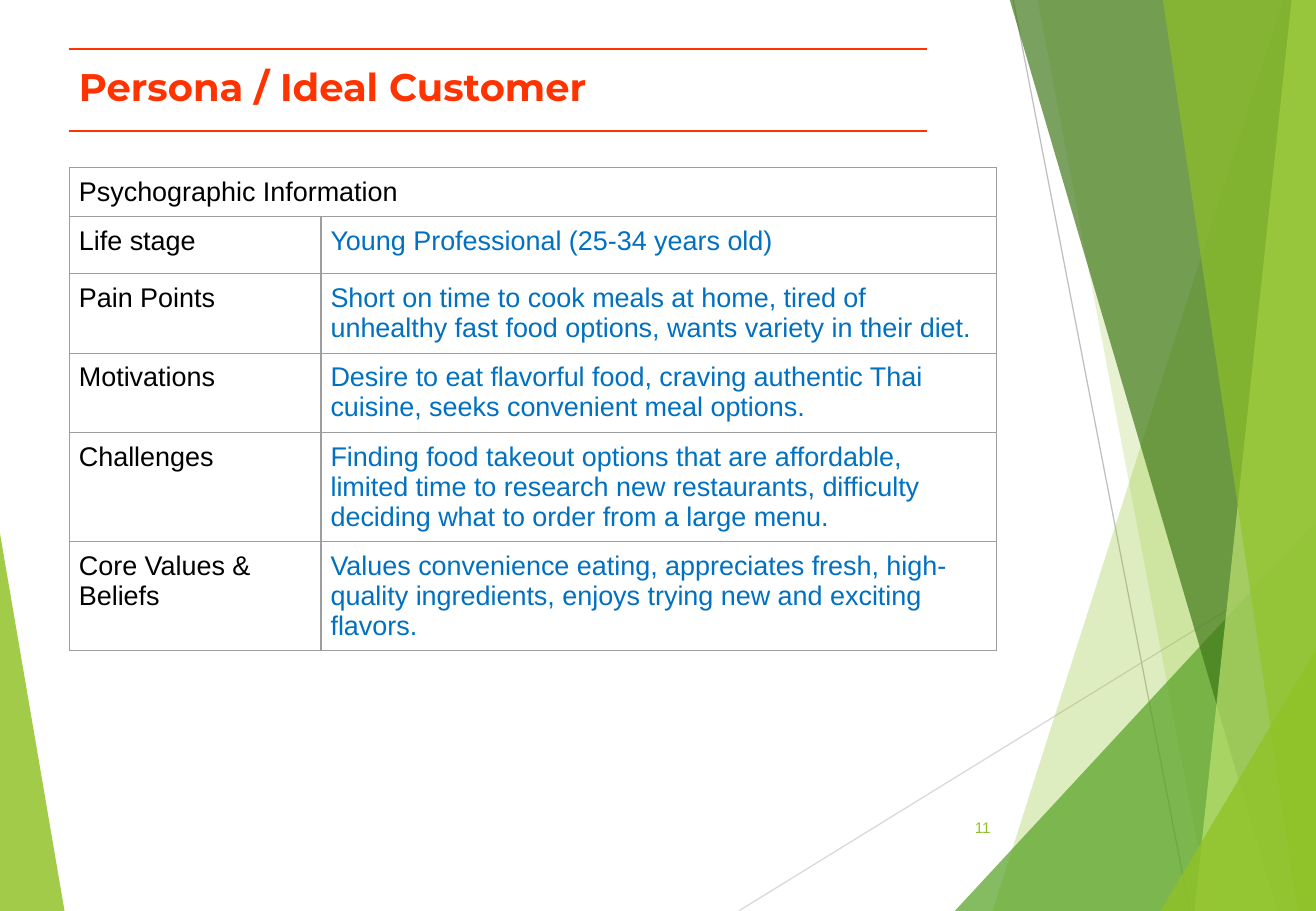
from lxml.etree import SubElement
from pptx import Presentation
from pptx.dml.color import RGBColor
from pptx.enum.shapes import MSO_CONNECTOR
from pptx.enum.text import MSO_ANCHOR, MSO_AUTO_SIZE, PP_ALIGN
from pptx.oxml import parse_xml
from pptx.oxml.ns import nsdecls, qn
from pptx.util import Cm, Pt

W, H = 27.51, 19.05
COLORS = {
    "title": "FF3300", "label": "000000", "answer": "0070C0", "border": "9E9E9E",
    "lime": "90C226", "green": "54A021", "forest": "3F7818", "pale": "BFE471",
    "ray": "D8D8D8", "beam": "BFBFBF",
}
RIGHT_EDGE = [(W, H), (W, 0)]
FACETS = [
    ([(0, 11.15), (1.35, H), (0, H)], "lime", 84),
    ([(26.82, 0), (20.75, H), *RIGHT_EDGE], "lime", 29),
    ([(21.69, 0), (25.3, H), *RIGHT_EDGE], "lime", 20),
    ([(19.96, H), (W, 10.9), (W, H)], "green", 71),
    ([(21.11, 0), (26.7, H), *RIGHT_EDGE], "forest", 69),
    ([(27, 0), (24.97, H), *RIGHT_EDGE], "pale", 69),
    ([(24.31, 0), (27.13, H), *RIGHT_EDGE], "lime", 64),
    ([(24.26, H), (W, 13.59), (W, H)], "lime", 80),
]
HEADING = "Psychographic Information"
PERSONA = [
    ("Life stage", "Young Professional (25-34 years old)"),
    ("Pain Points", "Short on time to cook meals at home, tired of unhealthy fast food "
     "options, wants variety in their diet."),
    ("Motivations", "Desire to eat flavorful food, craving authentic Thai cuisine, "
     "seeks convenient meal options."),
    ("Challenges", "Finding food takeout options that are affordable, limited time to "
     "research new restaurants, difficulty deciding what to order from a large menu."),
    ("Core Values & Beliefs", "Values convenience eating, appreciates fresh, high-quality "
     "ingredients, enjoys trying new and exciting flavors."),
]
ROW_HEIGHTS = [0.81, 1.2, 1.22, 1.22, 1.22, 1.5]
COLUMN_WIDTHS = [5.26, 14.12]


def rgb(name):
    """Return the named colour."""
    return RGBColor.from_string(COLORS[name])


def add_line(s, start, end, color, width=0.75):
    """Draw a straight line between two points."""
    line = s.shapes.add_connector(
        MSO_CONNECTOR.STRAIGHT, *(Cm(v) for v in (*start, *end)))
    line.line.color.rgb = rgb(color)
    line.line.width = Pt(width)
    SubElement(line._element.spPr, qn("a:effectLst"))


def add_facet(s, points, color, opacity):
    """Draw a translucent polygon."""
    start, *rest = [(Cm(x), Cm(y)) for x, y in points]
    builder = s.shapes.build_freeform(*start)
    builder.add_line_segments(rest, close=True)
    sp = builder.convert_to_shape()
    sp.shadow.inherit = False
    sp.line.fill.background()
    sp.fill.solid()
    sp.fill.fore_color.rgb = rgb(color)
    fill_color = sp._element.spPr.find(qn("a:solidFill"))[0]
    SubElement(fill_color, qn("a:alpha"), val=str(opacity * 1000))


def write(tf, text, size, color, font="Arial", bold=False, align=PP_ALIGN.LEFT):
    """Write one formatted run into a text frame."""
    tf.word_wrap = True
    p = tf.paragraphs[0]
    p.alignment = align
    r = p.add_run()
    r.text = text
    r.font.size = Pt(size)
    r.font.name = font
    r.font.bold = bold
    r.font.color.rgb = rgb(color)


def add_title(s, text):
    """Place and format the slide title."""
    sp = s.shapes.title
    sp.left, sp.top, sp.width, sp.height = Cm(1.45), Cm(1.22), Cm(19.69), Cm(1.17)
    tf = sp.text_frame
    tf.auto_size = MSO_AUTO_SIZE.NONE
    tf.vertical_anchor = MSO_ANCHOR.TOP
    tf.margin_left = tf.margin_right = Cm(0.2)
    tf.margin_top = tf.margin_bottom = Cm(0.1)
    write(tf, text, 22.8, "title", "Montserrat", True)


def style_cell(cell):
    """Clear the fill, set the margins and draw the borders."""
    cell.fill.background()
    cell.margin_left = cell.margin_right = Cm(0.2)
    cell.margin_top = cell.margin_bottom = Cm(0.2)
    tcPr = cell._tc.get_or_add_tcPr()
    for i, side in enumerate("LRTB"):
        tcPr.insert(i, parse_xml(
            f'<a:ln{side} {nsdecls("a")} w="{Pt(0.75)}"><a:solidFill>'
            f'<a:srgbClr val="{COLORS["border"]}"/></a:solidFill></a:ln{side}>'))


def add_persona_table(s):
    """Add the table with a heading row across both columns."""
    table = s.shapes.add_table(
        len(ROW_HEIGHTS), len(COLUMN_WIDTHS), Cm(1.45), Cm(3.5),
        Cm(sum(COLUMN_WIDTHS)), Cm(sum(ROW_HEIGHTS))).table
    table.first_row = table.horz_banding = False
    for column, width in zip(table.columns, COLUMN_WIDTHS):
        column.width = Cm(width)
    for row, height in zip(table.rows, ROW_HEIGHTS):
        row.height = Cm(height)
        for cell in row.cells:
            style_cell(cell)
    table.cell(0, 0).merge(table.cell(0, 1))
    write(table.cell(0, 0).text_frame, HEADING, 16, "label")
    for i, (label, answer) in enumerate(PERSONA, start=1):
        write(table.cell(i, 0).text_frame, label, 16, "label")
        write(table.cell(i, 1).text_frame, answer, 16, "answer")


def add_page_number(s, number):
    """Add the page number at the lower right."""
    tf = s.shapes.add_textbox(Cm(19.41), Cm(16.79), Cm(1.55), Cm(1.02)).text_frame
    tf.vertical_anchor = MSO_ANCHOR.MIDDLE
    write(tf, number, 9, "lime", align=PP_ALIGN.RIGHT)


def main():
    """Build the persona slide."""
    prs = Presentation()
    prs.slide_width, prs.slide_height = Cm(W), Cm(H)
    s = prs.slides.add_slide(prs.slide_layouts[5])
    add_facet(s, *FACETS[0])
    add_line(s, (15.44, H), (W, 11.61), "ray")
    add_line(s, (21.18, 0), (24.87, H), "beam")
    for facet in FACETS[1:]:
        add_facet(s, *facet)
    add_title(s, "Persona / Ideal Customer")
    for y in (2.74, 1.02):
        add_line(s, (1.45, y), (19.38, y), "title", 1)
    add_persona_table(s)
    add_page_number(s, "11")
    prs.save("out.pptx")


if __name__ == "__main__":
    main()
